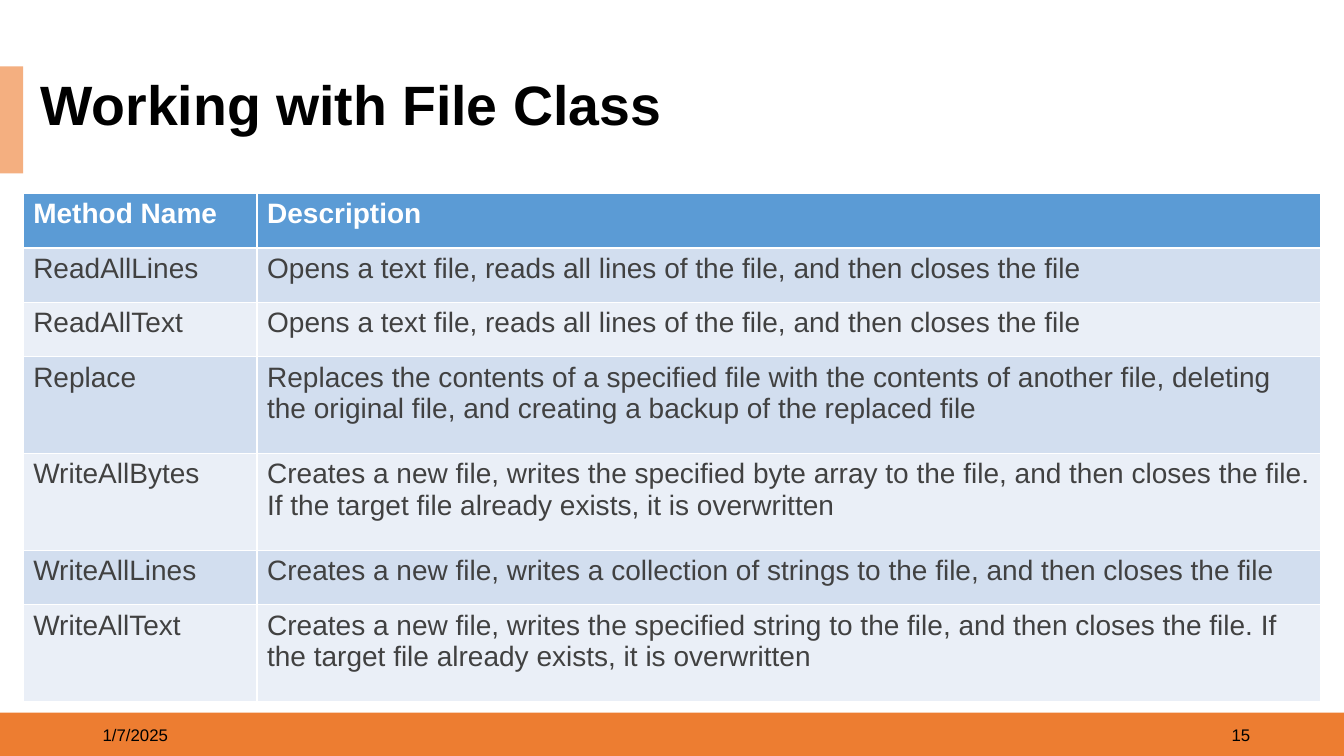
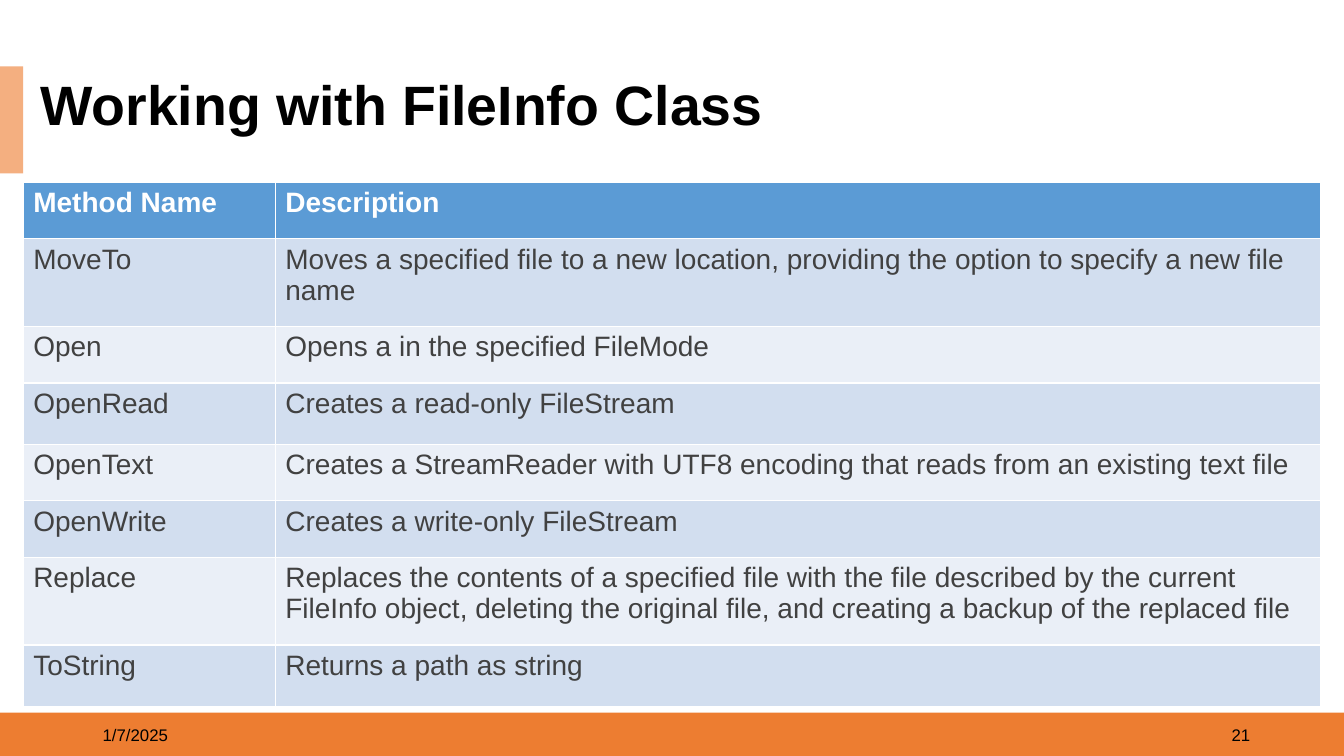
"""Build two reference slides on file handling classes and their methods."""
from dataclasses import dataclass

from pptx import Presentation
from pptx.dml.color import RGBColor
from pptx.enum.shapes import MSO_SHAPE
from pptx.enum.text import MSO_ANCHOR, MSO_AUTO_SIZE, PP_ALIGN
from pptx.slide import Slide
from pptx.table import Table
from pptx.text.text import TextFrame
from pptx.util import Inches, Pt

RECTANGLE = MSO_SHAPE.RECTANGLE
MIDDLE = MSO_ANCHOR.MIDDLE
NO_AUTOFIT = MSO_AUTO_SIZE.NONE
LEFT, RIGHT = PP_ALIGN.LEFT, PP_ALIGN.RIGHT

FONT = "Arial"
BLACK, WHITE, GREY = "000000", "FFFFFF", "414141"
ORANGE, PEACH, BLUE = "ED7D31", "F4AF80", "5B9BD5"
STRIPES = ("D2DEEF", "EAEFF7")

TITLE_FONT = {"name": FONT, "size": Pt(39.6), "bold": True}
FOOTER_FONT = {"name": FONT, "size": Pt(12)}
HEADER_FONT = {"name": FONT, "size": Pt(20), "bold": True}
CELL_FONT = {**HEADER_FONT, "bold": False}
TITLE_PARA = {"alignment": LEFT, "line_spacing": 0.9}
HEADER_PARA = {"space_before": Pt(6), "space_after": Pt(6)}
CENTRED_FRAME = {"word_wrap": True, "auto_size": NO_AUTOFIT, "vertical_anchor": MIDDLE}

SLIDE_WIDTH, SLIDE_HEIGHT = 13.33, 7.5
TABLE_LEFT = 0.23
TITLE_ONLY = 5
DATE = "1/7/2025"
HEADERS = ("Method Name", "Description")


@dataclass(frozen=True)
class Band:
    """A coloured rectangle shared by every slide."""

    left: float
    top: float
    width: float
    height: float
    color: str


@dataclass(frozen=True)
class Method:
    """One table row: a method, what it does and the row height."""

    name: str
    description: str
    height: float


@dataclass(frozen=True)
class MethodPage:
    """The content and measures of one slide."""

    title: str
    title_width: float
    number: str
    table_top: float
    column_widths: tuple[float, float]
    header_height: float
    body_spacing: float
    methods: tuple[Method, ...]


BANDS = (
    Band(0, 7.07, SLIDE_WIDTH, 0.44, ORANGE),
    Band(0, 0.66, 0.23, 1.06, PEACH),
)

PAGES = (
    MethodPage(
        "Working with File Class", 9.72, "15", 1.92, (2.32, 10.55), 0.54, 12,
        (
            Method("ReadAllLines", "Opens a text file, reads all lines of the file, "
                   "and then closes the file", 0.54),
            Method("ReadAllText", "Opens a text file, reads all lines of the file, "
                   "and then closes the file", 0.54),
            Method("Replace", "Replaces the contents of a specified file with the "
                   "contents of another file, deleting the original file, and "
                   "creating a backup of the replaced file", 0.96),
            Method("WriteAllBytes", "Creates a new file, writes the specified byte "
                   "array to the file, and then closes the file. If the target file "
                   "already exists, it is overwritten", 0.96),
            Method("WriteAllLines", "Creates a new file, writes a collection of "
                   "strings to the file, and then closes the file", 0.54),
            Method("WriteAllText", "Creates a new file, writes the specified string "
                   "to the file, and then closes the file. If the target file "
                   "already exists, it is overwritten", 0.96),
        ),
    ),
    MethodPage(
        "Working with FileInfo Class", 8.15, "21", 1.81, (2.5, 10.37), 0.56, 0,
        (
            Method("MoveTo", "Moves a specified file to a new location, providing "
                   "the option to specify a new file name", 0.87),
            Method("Open", "Opens a in the specified FileMode", 0.56),
            Method("OpenRead", "Creates a read-only FileStream", 0.61),
            Method("OpenText", "Creates a StreamReader with UTF8 encoding that reads "
                   "from an existing text file", 0.56),
            Method("OpenWrite", "Creates a write-only FileStream", 0.56),
            Method("Replace", "Replaces the contents of a specified file with the "
                   "file described by the current FileInfo object, deleting the "
                   "original file, and creating a backup of the replaced file", 0.87),
            Method("ToString", "Returns a path as string", 0.61),
        ),
    ),
)


def set_values(target: object, values: dict) -> None:
    """Set each named attribute of the target."""
    for name, value in values.items():
        setattr(target, name, value)


def paint(area: object, color: str) -> None:
    """Give a fill or font colour owner a solid hex colour."""
    if hasattr(area, "fill") and not hasattr(area, "bold"):
        area.fill.solid()
        area.fill.fore_color.rgb = RGBColor.from_string(color)
    else:
        area.color.rgb = RGBColor.from_string(color)


def write(frame: TextFrame, text: str, font: dict, color: str, layout: dict) -> None:
    """Write one formatted paragraph into a text frame."""
    para = frame.paragraphs[0]
    set_values(para, layout)
    span = para.add_run()
    span.text = text
    set_values(span.font, font)
    paint(span.font, color)


def share_bands(slide: Slide) -> None:
    """Draw the bands and move them to the layout of the slide."""
    tree = slide.slide_layout.shapes.element
    for index, band in enumerate(BANDS):
        box = slide.shapes.add_shape(
            RECTANGLE, Inches(band.left), Inches(band.top),
            Inches(band.width), Inches(band.height),
        )
        box.shadow.inherit = False
        paint(box, band.color)
        box.line.fill.background()
        box.element.nvSpPr.cNvPr.set("id", str(101 + index))
        tree.insert(2 + index, box.element)


def add_footer(slide: Slide, left: float, text: str, alignment: PP_ALIGN) -> None:
    """Add one text box over the bottom band."""
    box = slide.shapes.add_textbox(Inches(left), Inches(7.09), Inches(3), Inches(0.4))
    set_values(box.text_frame, CENTRED_FRAME)
    write(box.text_frame, text, FOOTER_FONT, BLACK, {"alignment": alignment})


def add_title(slide: Slide, text: str, width: float) -> None:
    """Place and fill the title placeholder."""
    title = slide.shapes.title
    set_values(title, {"left": Inches(0.3), "top": Inches(0.75),
                       "width": Inches(width), "height": Inches(0.63)})
    paint(title, WHITE)
    set_values(title.text_frame, CENTRED_FRAME)
    write(title.text_frame, text, TITLE_FONT, BLACK, TITLE_PARA)


def fill_row(table: Table, row: int, texts: tuple[str, str], fill: str,
             font: dict, color: str, layout: dict) -> None:
    """Fill the cells of one table row."""
    for column, text in enumerate(texts):
        cell = table.cell(row, column)
        paint(cell, fill)
        write(cell.text_frame, text, font, color, layout)


def add_method_table(slide: Slide, page: MethodPage) -> None:
    """Add the table of methods with striped rows."""
    heights = (page.header_height, *(method.height for method in page.methods))
    table = slide.shapes.add_table(
        len(heights), len(HEADERS), Inches(TABLE_LEFT), Inches(page.table_top),
        Inches(sum(page.column_widths)), Inches(sum(heights)),
    ).table
    for column, width in zip(table.columns, page.column_widths):
        column.width = Inches(width)
    for row, height in zip(table.rows, heights):
        row.height = Inches(height)
    fill_row(table, 0, HEADERS, BLUE, HEADER_FONT, WHITE, HEADER_PARA)
    spacing = Pt(page.body_spacing)
    body_para = {"space_before": spacing, "space_after": spacing}
    for index, method in enumerate(page.methods):
        fill_row(table, index + 1, (method.name, method.description),
                 STRIPES[index % len(STRIPES)], CELL_FONT, GREY, body_para)


def main() -> None:
    """Build and save the deck."""
    deck = Presentation()
    deck.slide_width = Inches(SLIDE_WIDTH)
    deck.slide_height = Inches(SLIDE_HEIGHT)
    layout = deck.slide_layouts[TITLE_ONLY]
    slides = [deck.slides.add_slide(layout) for _ in PAGES]
    share_bands(slides[0])
    for slide, page in zip(slides, PAGES):
        add_footer(slide, 0.92, DATE, LEFT)
        add_footer(slide, 9.5, page.number, RIGHT)
        add_title(slide, page.title, page.title_width)
        add_method_table(slide, page)
    deck.save("out.pptx")


if __name__ == "__main__":
    main()
